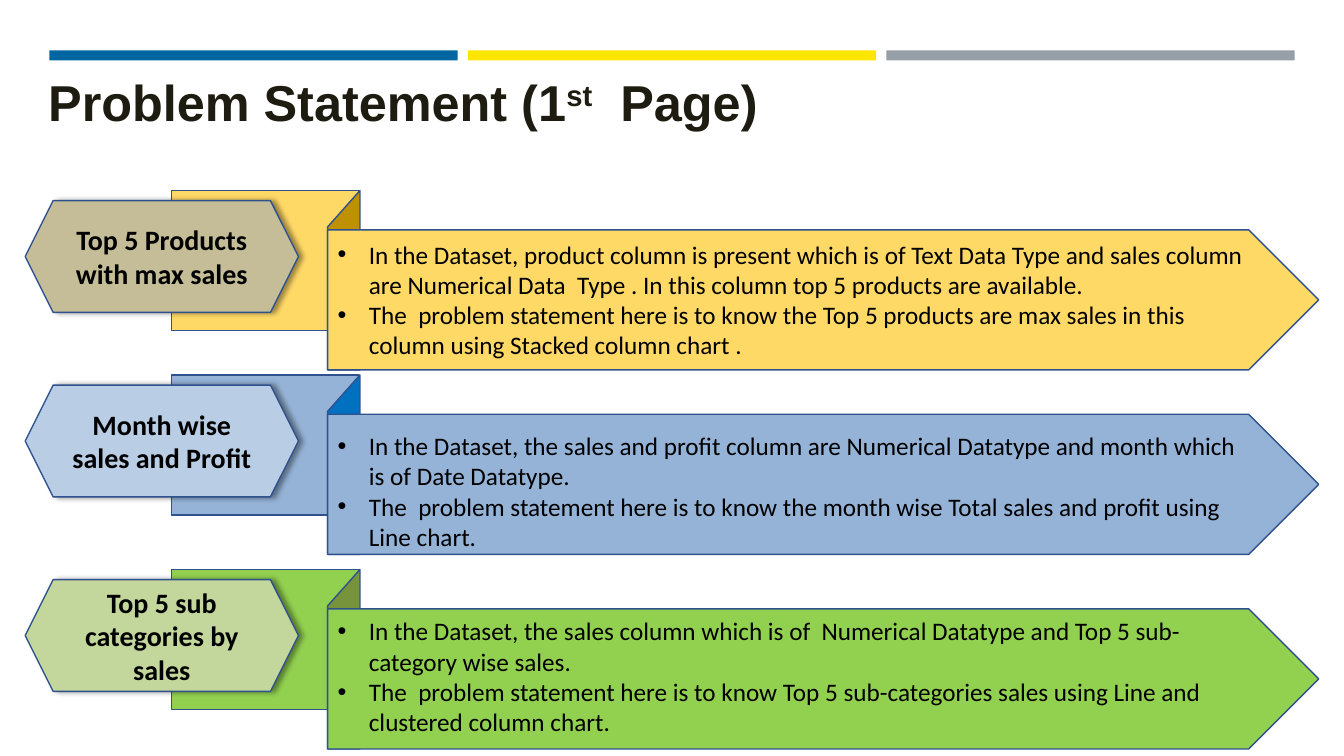
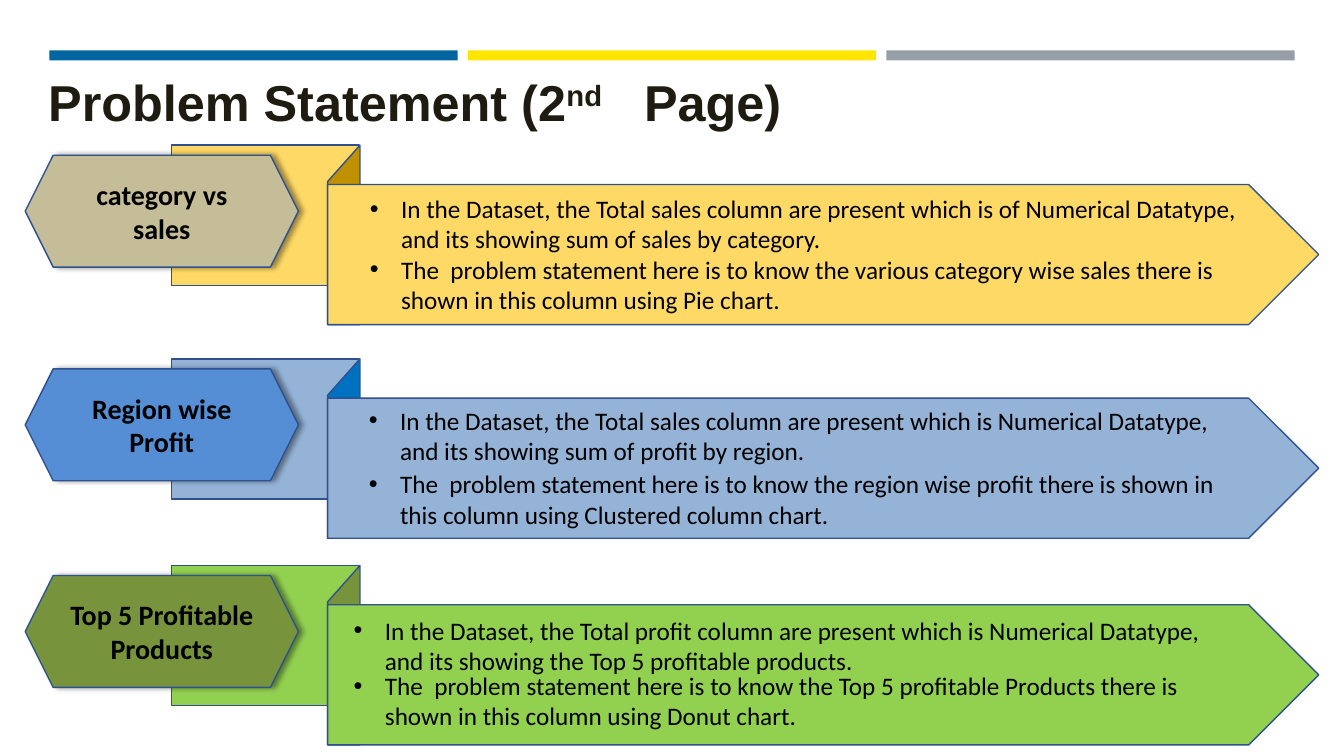
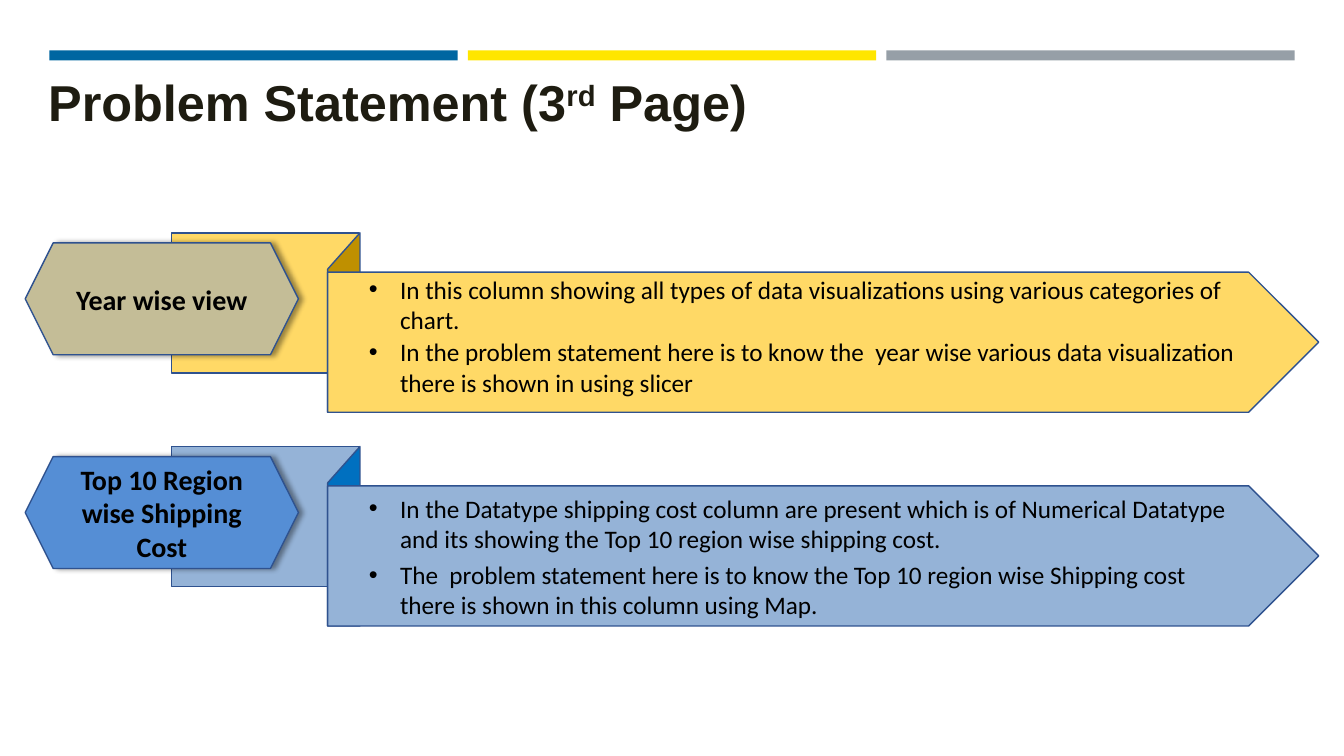
from dataclasses import dataclass

from lxml.etree import SubElement
from pptx import Presentation
from pptx.dml.color import RGBColor
from pptx.enum.shapes import MSO_SHAPE
from pptx.enum.text import MSO_ANCHOR, PP_ALIGN
from pptx.oxml.ns import qn
from pptx.shapes.autoshape import Shape
from pptx.slide import Slide
from pptx.text.text import TextFrame, _Paragraph
from pptx.util import Inches, Pt


@dataclass(frozen=True)
class Theme:
    bands: tuple[str, ...] = ("0066A1", "FFE600", "969FA7")
    title: str = "1E1C11"
    text: str = "000000"
    outline: str = "2F528F"
    title_font: str = "Arial"
    body_font: str = "Calibri"
    title_size: int = 36
    label_size: int = 20
    note_size: int = 18


@dataclass(frozen=True)
class Palette:
    ribbon: str
    fold: str
    label: str


@dataclass(frozen=True)
class Note:
    left: float
    top: float
    width: float
    bullets: tuple[str, ...]


@dataclass(frozen=True)
class Topic:
    top: float
    label: str
    palette: Palette
    notes: tuple[Note, ...]


@dataclass(frozen=True)
class Page:
    number: str
    ordinal: str
    ending: str
    topics: tuple[Topic, ...]


THEME = Theme()
GOLD = Palette("FFD966", "BF9000", "C4BD97")
PALE_BLUE = Palette("95B3D7", "0070C0", "B9CDE5")
BLUE = Palette("95B3D7", "0070C0", "558ED5")
PALE_GREEN = Palette("92D050", "77933C", "C3D69B")
GREEN = Palette("92D050", "77933C", "77933C")

PAGES = (
    Page("1", "st", "  Page)", (
        Topic(1.89, "Top 5 Products with max sales", GOLD, (
            Note(3.25, 2.32, 9.28, (
                "In the Dataset, product column is present which is of Text Data Type and sales "
                "column are Numerical Data  Type . In this column top 5 products are available.",
                "The  problem statement here is to know the Top 5 products are max sales in this "
                "column using Stacked column chart .")),)),
        Topic(3.72, "Month wise sales and Profit", PALE_BLUE, (
            Note(3.25, 4.22, 9.28, (
                "In the Dataset, the sales and profit column are Numerical Datatype and month "
                "which is of Date Datatype.",
                "The  problem statement here is to know the month wise Total sales and profit "
                "using Line chart.")),)),
        Topic(5.65, "Top 5 sub categories by sales", PALE_GREEN, (
            Note(3.25, 6.06, 9.28, (
                "In the Dataset, the sales column which is of  Numerical Datatype and Top 5 "
                "sub-category wise sales.",
                "The  problem statement here is to know Top 5 sub-categories sales using Line "
                "and clustered column chart.")),)),
    )),
    Page("2", "nd", "   Page)", (
        Topic(1.44, "category vs sales", GOLD, (
            Note(3.57, 1.87, 8.87, (
                "In the Dataset, the Total sales column are present which is of Numerical "
                "Datatype, and its showing sum of sales by category.",
                "The  problem statement here is to know the various category wise sales there is "
                "shown in this column using Pie chart.")),)),
        Topic(3.56, "Region wise Profit", BLUE, (
            Note(3.56, 3.97, 8.87, (
                "In the Dataset, the Total sales column are present which is Numerical Datatype, "
                "and its showing sum of profit by region.",)),
            Note(3.56, 4.6, 8.87, (
                "The  problem statement here is to know the region wise profit there is shown in "
                "this column using Clustered column chart.",)))),
        Topic(5.61, "Top 5 Profitable Products", GREEN, (
            Note(3.41, 6.05, 8.87, (
                "In the Dataset, the Total profit column are present which is Numerical Datatype, "
                "and its showing the Top 5 profitable products.",)),
            Note(3.41, 6.6, 8.87, (
                "The  problem statement here is to know the Top 5 profitable Products there is "
                "shown in this column using Donut chart.",)))),
    )),
    Page("3", "rd", " Page)", (
        Topic(2.31, "Year wise view", GOLD, (
            Note(3.56, 2.67, 9.11, (
                "In this column showing all types of data visualizations using various "
                "categories of chart.",)),
            Note(3.56, 3.29, 8.87, (
                "In the problem statement here is to know the  year wise various data "
                "visualization there is shown in using slicer",)))),
        Topic(4.43, "Top 10 Region wise Shipping Cost", BLUE, (
            Note(3.56, 4.84, 9.11, (
                "In the Datatype shipping cost column are present which is of Numerical Datatype "
                "and its showing the Top 10 region wise shipping cost.",)),
            Note(3.56, 5.5, 8.87, (
                "The  problem statement here is to know the Top 10 region wise Shipping cost "
                "there is shown in this column using Map.",)))),
    )),
)


def paint(shape: Shape, fill: str, outlined: bool = True) -> None:
    shape.shadow.inherit = False
    shape.fill.solid()
    shape.fill.fore_color.rgb = RGBColor.from_string(fill)
    if outlined:
        shape.line.color.rgb = RGBColor.from_string(THEME.outline)
        shape.line.width = Pt(1)
    else:
        shape.line.fill.background()


def add_block(slide: Slide, kind: MSO_SHAPE, left: float, top: float, width: float,
              height: float, fill: str, outlined: bool = True) -> Shape:
    shape = slide.shapes.add_shape(
        kind, Inches(left), Inches(top), Inches(width), Inches(height))
    paint(shape, fill, outlined)
    return shape


def add_text_frame(slide: Slide, left: float, top: float, width: float,
                   height: float) -> TextFrame:
    box = slide.shapes.add_textbox(Inches(left), Inches(top), Inches(width), Inches(height))
    box.text_frame.word_wrap = True
    return box.text_frame


def set_font(para: _Paragraph, name: str, size: int, color: str, bold: bool = False) -> None:
    para.font.name = name
    para.font.size = Pt(size)
    para.font.bold = bold
    para.font.color.rgb = RGBColor.from_string(color)


def add_bullet(para: _Paragraph) -> None:
    properties = para._p.get_or_add_pPr()
    properties.set("marL", str(Inches(0.31)))
    properties.set("indent", str(-Inches(0.31)))
    SubElement(properties, qn("a:buFont"), typeface="Arial")
    SubElement(properties, qn("a:buChar"), char="•")


def cast_shadow(shape: Shape) -> None:
    """Give the shape a soft shadow towards the right."""
    effects = shape._element.spPr.find(qn("a:effectLst"))
    shadow = SubElement(effects, qn("a:outerShdw"), blurRad=str(Pt(4)), dist=str(Pt(3)),
                        dir="0", algn="l", rotWithShape="0")
    color = SubElement(shadow, qn("a:srgbClr"), val="000000")
    SubElement(color, qn("a:alpha"), val="40000")


def add_header(slide: Slide, page: Page) -> None:
    for index, color in enumerate(THEME.bands):
        add_block(slide, MSO_SHAPE.RECTANGLE, 0.49 + 4.15 * index, 0.5, 4.05, 0.1,
                  color, outlined=False)
    para = add_text_frame(slide, 0.38, 0.66, 8.5, 0.71).paragraphs[0]
    set_font(para, THEME.title_font, THEME.title_size, THEME.title, bold=True)
    for text in (f"Problem Statement ({page.number}", page.ordinal, page.ending):
        span = para.add_run()
        span.text = text
        if text == page.ordinal:
            span.font._element.set("baseline", "30000")


def add_fold(slide: Slide, top: float, color: str) -> None:
    left, right, bottom = 3.25, 3.57, top + 1.78
    corners = ((left, top + 0.36), (right, top), (right, bottom))
    builder = slide.shapes.build_freeform(Inches(left), Inches(bottom))
    builder.add_line_segments([(Inches(x), Inches(y)) for x, y in corners], close=True)
    paint(builder.convert_to_shape(), color)


def add_label(slide: Slide, topic: Topic) -> None:
    hexagon = add_block(slide, MSO_SHAPE.HEXAGON, 0.25, topic.top + 0.1, 2.71, 1.11,
                        topic.palette.label)
    hexagon.adjustments[0] = 0.25
    cast_shadow(hexagon)
    frame = hexagon.text_frame
    frame.vertical_anchor = MSO_ANCHOR.MIDDLE
    para = frame.paragraphs[0]
    para.text = topic.label
    para.alignment = PP_ALIGN.CENTER
    set_font(para, THEME.body_font, THEME.label_size, THEME.text, bold=True)


def add_note(slide: Slide, note: Note) -> None:
    height = 0.11 + 0.6 * len(note.bullets)
    frame = add_text_frame(slide, note.left, note.top, note.width, height)
    for index, bullet in enumerate(note.bullets):
        para = frame.add_paragraph() if index else frame.paragraphs[0]
        para.text = bullet
        add_bullet(para)
        set_font(para, THEME.body_font, THEME.note_size, THEME.text)


def add_topic(slide: Slide, topic: Topic) -> None:
    """Draw a folded ribbon with its label and notes."""
    ribbon = topic.palette.ribbon
    add_block(slide, MSO_SHAPE.RECTANGLE, 1.7, topic.top, 1.86, 1.39, ribbon)
    add_fold(slide, topic.top, topic.palette.fold)
    add_block(slide, MSO_SHAPE.PENTAGON, 3.25, topic.top + 0.39, 9.83, 1.39, ribbon)
    add_label(slide, topic)
    for note in topic.notes:
        add_note(slide, note)


def main() -> None:
    deck = Presentation()
    deck.slide_width, deck.slide_height = Inches(13.33), Inches(7.5)
    for page in PAGES:
        slide = deck.slides.add_slide(deck.slide_layouts[6])
        add_header(slide, page)
        for topic in page.topics:
            add_topic(slide, topic)
    deck.save("out.pptx")


if __name__ == "__main__":
    main()
